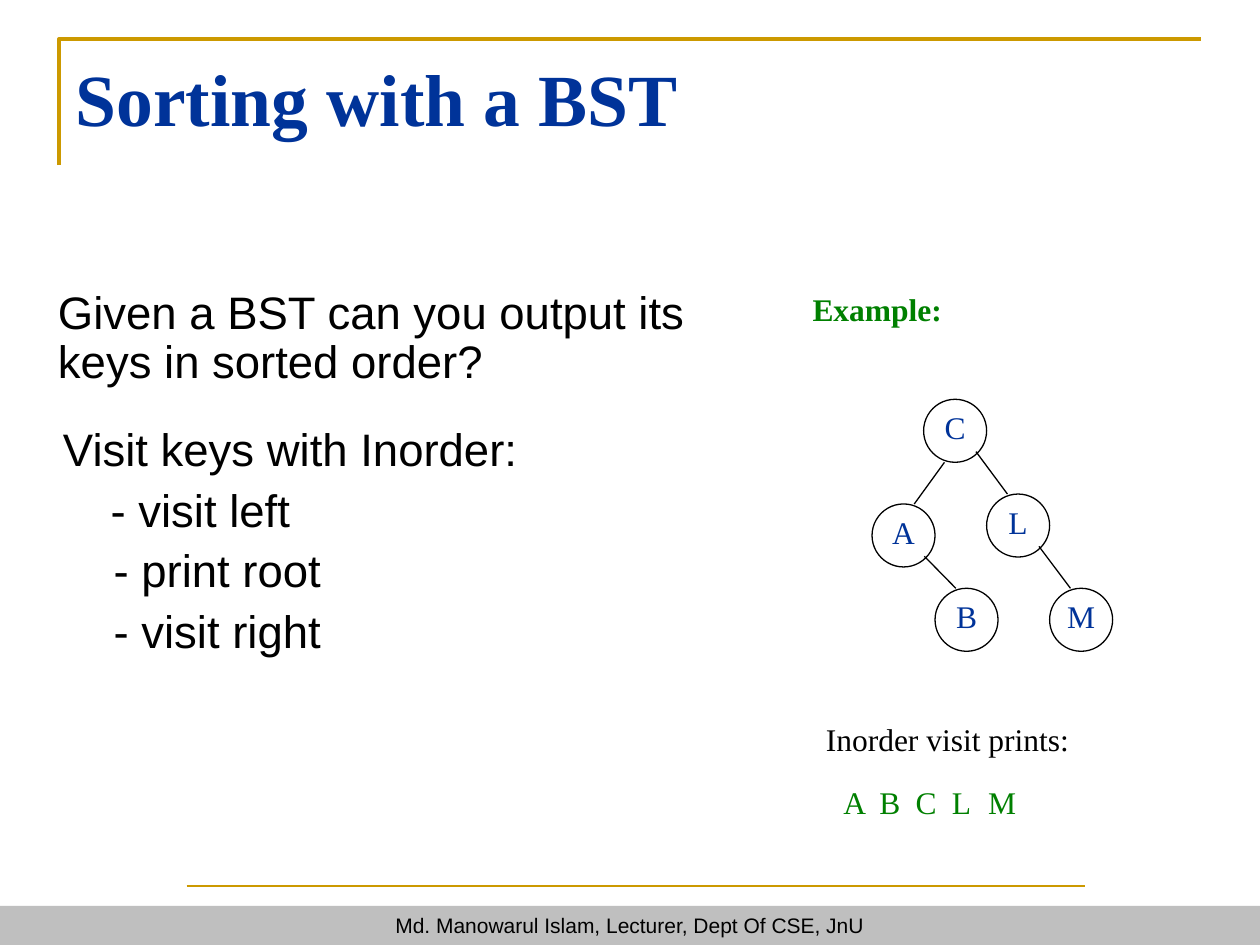
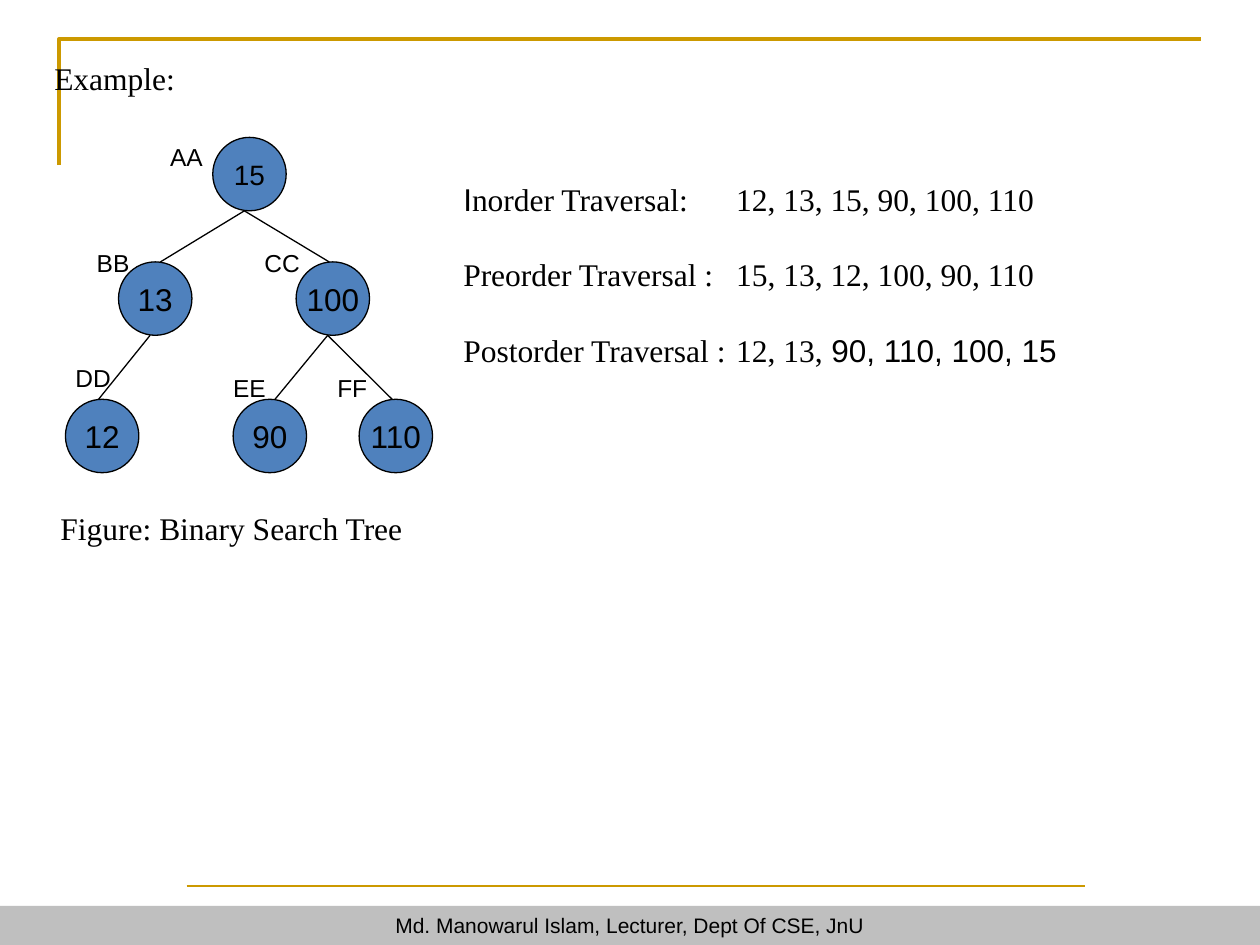
from lxml import etree
from pptx import Presentation
from pptx.dml.color import RGBColor
from pptx.enum import shapes, text
from pptx.oxml.ns import qn
from pptx.util import Cm, Pt

SERIF, SANS = "Times New Roman", "Arial"
NAVY, GOLD, GREEN, BLACK = "003399", "CC9900", "008000", "000000"
GREY, BLUE = "BFBFBF", "4F81BD"

FOOTER = "Md. Manowarul Islam, Lecturer, Dept Of CSE, JnU"
FOOTER_FONT = dict(name=SANS, size=12, color=BLACK)
BODY_FONT = dict(name=SANS, size=26, color=BLACK)
TAG_FONT = dict(name=SANS, size=14, color=BLACK)
NOTE_FONT = dict(name=SERIF, size=18, color=BLACK)
GREEN_FONT = dict(name=SERIF, size=18, color=GREEN)

SORTING_TITLE = dict(
    words="Sorting with a BST", box=(1.27, 0.94, 22.86, 3),
    font=dict(name=SERIF, size=42, color=NAVY, bold=True),
)
EXAMPLE_TITLE = dict(words="Example:", box=(0.84, 1.07, 23.5, 1.02), font=NOTE_FONT)

SORTING_STEPS = [
    ("Given a BST can you output its keys in sorted order?", 1.17, 0),
    ("Visit keys with Inorder:", 1.27, 22.5),
    ("- visit left", 2.23, 6.5),
    ("- print root", 2.29, 6.5),
    ("- visit right", 2.29, 6.5),
]
SORTING_NOTES = [
    ("Example:", (16.13, 5.72, 4, 1.02), dict(GREEN_FONT, bold=True)),
    ("Inorder visit prints:", (16.4, 14.4, 6, 1.02), NOTE_FONT),
    ("A\tB\tC\tL\tM", (16.75, 15.67, 5, 1.02), GREEN_FONT),
]
PRINT_TABS = [0.73 * step for step in range(1, 5)]

LETTER_TREE = dict(
    nodes={"C": (18.62, 8.05), "A": (17.58, 10.16), "B": (18.85, 11.86),
           "L": (19.89, 9.96), "M": (21.16, 11.86)},
    edges=[("C", "A", "left"), ("C", "L", "right"),
           ("A", "B", "right"), ("L", "M", "right")],
    joints={"left": ((0.33, 1), (0.67, 0)), "right": ((0.83, 0.83), (0.33, 0))},
    diameter=1.27, fill=None, font=dict(name=SERIF, size=18, color=NAVY),
    sizes={}, lift=0.16,
)
NUMBER_TREE = dict(
    nodes={"15": (4.29, 2.77), "13": (2.39, 5.28), "100": (5.97, 5.28),
           "12": (1.32, 8.05), "90": (4.7, 8.05), "110": (7.24, 8.05)},
    edges=[("15", "13", "left"), ("15", "100", "right"), ("13", "12", "right"),
           ("100", "90", "left"), ("100", "110", "right")],
    joints={"left": ((0.43, 1), (0.57, 0)), "right": ((0.43, 1), (0.45, 0))},
    diameter=1.48, fill=BLUE, font=dict(name=SANS, size=18, color=BLACK),
    sizes={"15": 16}, lift=0,
)
NODE_TAGS = {"AA": (3.18, 2.74), "BB": (1.7, 4.88), "CC": (5.08, 4.88),
             "DD": (1.27, 7.19), "EE": (4.45, 7.39), "FF": (6.55, 7.39)}
CAPTION = ("Figure: Binary Search Tree", (0.97, 10.13, 9.83, 1.02))
TRAVERSALS = [
    [("I", SANS), ("norder Traversal:\t12, 13, 15, 90, 100, 110", SERIF)],
    [("Preorder Traversal :\t15, 13, 12, 100, 90, 110", SERIF)],
    [("Postorder Traversal :\t12, 13,", SERIF), (" 90, 110, 100, 15", SANS)],
]
TRAVERSAL_BOX = (9.09, 2.74, 15.88, 4.83)
TRAVERSAL_TAB = 5.5


def color(value):
    return RGBColor.from_string(value)


def lengths(values):
    return [Cm(value) for value in values]


def add_run(paragraph, words, font):
    run = paragraph.add_run()
    run.text = words
    formats = dict(font, size=Pt(font["size"]))
    run.font.color.rgb = color(formats.pop("color"))
    for name, value in formats.items():
        setattr(run.font, name, value)


def set_paragraph(paragraph, **formats):
    for name, value in formats.items():
        setattr(paragraph, name, value)


def add_tabs(paragraph, positions):
    tab_list = etree.SubElement(paragraph._p.get_or_add_pPr(), qn("a:tabLst"))
    for position in positions:
        etree.SubElement(tab_list, qn("a:tab"), pos=str(Cm(position)), algn="l")


def add_box(slide, box):
    frame = slide.shapes.add_textbox(*lengths(box)).text_frame
    frame.word_wrap = True
    return frame


def add_label(slide, words, box, font):
    paragraph = add_box(slide, box).paragraphs[0]
    add_run(paragraph, words, font)
    return paragraph


def paint(shape, fill=None, line=None, width=0.75):
    shape.shadow.inherit = False
    if fill:
        shape.fill.solid()
        shape.fill.fore_color.rgb = color(fill)
    else:
        shape.fill.background()
    if line:
        shape.line.color.rgb = color(line)
        shape.line.width = Pt(width)
    else:
        shape.line.fill.background()


def center_text(shape, words, font, bottom=0):
    frame = shape.text_frame
    formats = dict(word_wrap=False, vertical_anchor=text.MSO_ANCHOR.MIDDLE,
                   margin_left=0, margin_right=0, margin_top=0,
                   margin_bottom=Cm(bottom))
    for name, value in formats.items():
        setattr(frame, name, value)
    paragraph = frame.paragraphs[0]
    paragraph.alignment = text.PP_ALIGN.CENTER
    add_run(paragraph, words, font)


def add_line(slide, start, end, line, width):
    connector = slide.shapes.add_connector(
        shapes.MSO_CONNECTOR.STRAIGHT, *lengths(start + end))
    connector.line.color.rgb = color(line)
    connector.line.width = Pt(width)
    etree.SubElement(connector._element.spPr, qn("a:effectLst"))


def add_slide(presentation, title):
    slide = presentation.slides.add_slide(presentation.slide_layouts[5])
    add_line(slide, (3.76, 17.86), (21.87, 17.86), GOLD, 1)

    footer = slide.shapes.add_shape(
        shapes.MSO_SHAPE.RECTANGLE, *lengths((0, 18.26, 25.4, 0.79)))
    paint(footer, fill=GREY)
    center_text(footer, FOOTER, FOOTER_FONT)

    corner = slide.shapes.build_freeform(Cm(1.19), Cm(3.33))
    corner.add_line_segments(
        [lengths((1.19, 0.79)), lengths((24.21, 0.79))], close=False)
    paint(corner.convert_to_shape(), line=GOLD, width=2)

    heading = slide.shapes.title
    slide.shapes._spTree.append(heading._element)
    heading.left, heading.top, heading.width, heading.height = lengths(title["box"])
    frame = heading.text_frame
    frame.vertical_anchor = text.MSO_ANCHOR.TOP
    frame.auto_size = text.MSO_AUTO_SIZE.NONE
    frame.paragraphs[0].alignment = text.PP_ALIGN.LEFT
    add_run(frame.paragraphs[0], title["words"], title["font"])
    return slide


def add_tree(slide, tree):
    nodes, diameter = tree["nodes"], tree["diameter"]

    def joint(node, offset):
        return tuple(base + part * diameter for base, part in zip(nodes[node], offset))

    for name, corner in nodes.items():
        node = slide.shapes.add_shape(
            shapes.MSO_SHAPE.OVAL, *lengths(corner + (diameter, diameter)))
        paint(node, tree["fill"], BLACK)
        size = tree["sizes"].get(name, tree["font"]["size"])
        center_text(node, name, dict(tree["font"], size=size), tree["lift"])
    for parent, child, side in tree["edges"]:
        start, end = tree["joints"][side]
        add_line(slide, joint(parent, start), joint(child, end), BLACK, 0.75)


def paragraphs_for(frame, items):
    for index, item in enumerate(items):
        yield (frame.add_paragraph() if index else frame.paragraphs[0]), item


def build_sorting(presentation):
    slide = add_slide(presentation, SORTING_TITLE)
    frame = add_box(slide, (0, 5.72, 14.1, 11.43))
    frame.margin_left = frame.margin_right = 0
    for paragraph, (words, indent, gap) in paragraphs_for(frame, SORTING_STEPS):
        set_paragraph(paragraph, line_spacing=0.9, space_before=Pt(gap))
        paragraph._p.get_or_add_pPr().set("marL", str(Cm(indent)))
        add_run(paragraph, words, BODY_FONT)
    add_tree(slide, LETTER_TREE)
    for words, box, font in SORTING_NOTES:
        paragraph = add_label(slide, words, box, font)
        if "\t" in words:
            add_tabs(paragraph, PRINT_TABS)


def build_example(presentation):
    slide = add_slide(presentation, EXAMPLE_TITLE)
    add_tree(slide, NUMBER_TREE)
    for tag, corner in NODE_TAGS.items():
        add_label(slide, tag, corner + (1.7, 0.86), TAG_FONT)
    add_label(slide, *CAPTION, NOTE_FONT)
    frame = add_box(slide, TRAVERSAL_BOX)
    for paragraph, runs in paragraphs_for(frame, TRAVERSALS):
        set_paragraph(paragraph, line_spacing=2.0)
        add_tabs(paragraph, [TRAVERSAL_TAB])
        for words, name in runs:
            add_run(paragraph, words, dict(NOTE_FONT, name=name))


def main():
    presentation = Presentation()
    presentation.slide_width, presentation.slide_height = lengths((25.4, 19.05))
    build_sorting(presentation)
    build_example(presentation)
    presentation.save("out.pptx")


if __name__ == "__main__":
    main()
